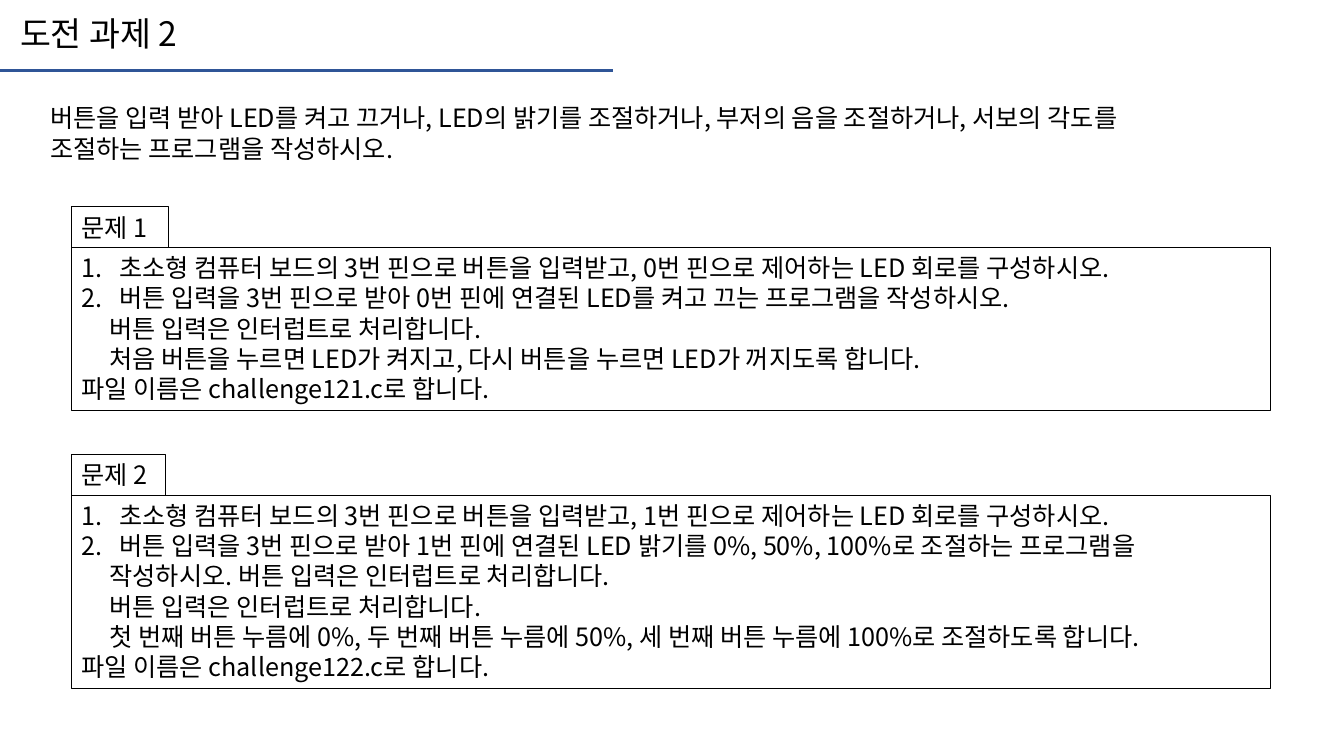
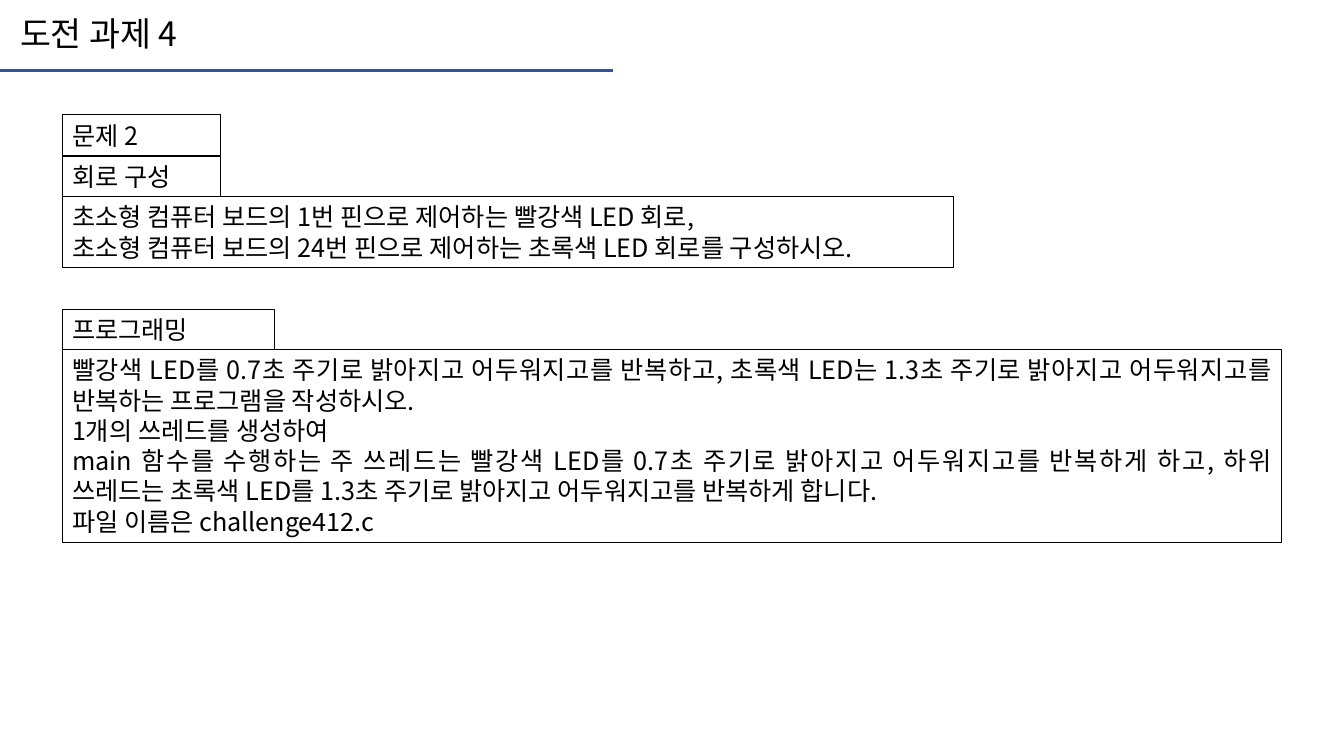
from lxml import etree
from pptx import Presentation
from pptx.dml.color import RGBColor
from pptx.enum.shapes import MSO_CONNECTOR, MSO_SHAPE
from pptx.enum.text import MSO_ANCHOR, MSO_AUTO_SIZE, PP_ALIGN
from pptx.oxml.ns import qn
from pptx.util import Pt


def color(value):
    return RGBColor.from_string(value)


class Worksheet:
    FONT = "Noto Sans CJK KR"
    INK = "000000"
    RULE = "2F5597"
    TITLE_SIZE = 24
    BODY_SIZE = 18
    LINE_HEIGHT = 21.8
    PADDING = 7.2
    NUMBER_INDENT = 27
    DETAIL_INDENT = 20

    def __init__(self):
        self.deck = Presentation()
        self.deck.slide_width = Pt(960)
        self.deck.slide_height = Pt(540)
        self.page = None

    def height(self, lines):
        return self.PADDING + lines * self.LINE_HEIGHT

    def add_page(self, title):
        self.page = self.deck.slides.add_slide(self.deck.slide_layouts[6])
        rule = self.page.shapes.add_connector(
            MSO_CONNECTOR.STRAIGHT, Pt(0), Pt(50.4), Pt(438), Pt(50.4))
        rule.line.color.rgb = color(self.RULE)
        rule.line.width = Pt(2)
        etree.SubElement(rule._element.spPr, qn("a:effectLst"))
        self.add_text(7.2, 6, 142.6, 36, [title], size=self.TITLE_SIZE, wrap=False)

    def add_text(self, left, top, width, height, lines, size=BODY_SIZE, wrap=True):
        box = self.page.shapes.add_textbox(Pt(left), Pt(top), Pt(width), Pt(height))
        self.fill_text(box, lines, size, wrap, PP_ALIGN.LEFT)

    def add_frame(self, left, top, width, lines, rows=1, wrap=True, align=PP_ALIGN.LEFT):
        frame = self.page.shapes.add_shape(
            MSO_SHAPE.RECTANGLE, Pt(left), Pt(top), Pt(width), Pt(self.height(rows)))
        frame.shadow.inherit = False
        frame.fill.background()
        frame.line.color.rgb = color(self.INK)
        frame.line.width = Pt(0.75)
        self.fill_text(frame, lines, self.BODY_SIZE, wrap, align)

    def add_label(self, left, top, width, text):
        self.add_frame(left, top, width, [text], wrap=False)
        return top + self.height(1)

    def add_problem(self, left, top, label, label_width, width, lines, rows,
                    align=PP_ALIGN.LEFT):
        panel_top = self.add_label(left, top, label_width, label)
        self.add_frame(left, panel_top, width, lines, rows, align=align)

    def fill_text(self, box, lines, size, wrap, align):
        frame = box.text_frame
        frame.word_wrap = wrap
        frame.auto_size = MSO_AUTO_SIZE.SHAPE_TO_FIT_TEXT
        frame.vertical_anchor = MSO_ANCHOR.TOP
        for index, line in enumerate(lines):
            para = frame.add_paragraph() if index else frame.paragraphs[0]
            para.alignment = align
            kind, text = line if isinstance(line, tuple) else ("plain", line)
            self.indent(para, kind)
            span = para.add_run()
            span.text = text
            span.font.size = Pt(size)
            span.font.name = self.FONT
            span.font.color.rgb = color(self.INK)
            east_asian = etree.SubElement(span.font._element, qn("a:ea"))
            east_asian.set("typeface", self.FONT)

    def indent(self, para, kind):
        properties = para._p.get_or_add_pPr()
        if kind == "number":
            properties.set("marL", str(Pt(self.NUMBER_INDENT)))
            properties.set("indent", str(-Pt(self.NUMBER_INDENT)))
            font = etree.SubElement(properties, qn("a:buFont"))
            font.set("typeface", self.FONT)
            number = etree.SubElement(properties, qn("a:buAutoNum"))
            number.set("type", "arabicPeriod")
        elif kind == "detail":
            properties.set("marL", str(Pt(self.DETAIL_INDENT)))
            properties.set("indent", "0")


def build_challenge_two(sheet):
    sheet.add_page("도전 과제 2")
    sheet.add_text(28.8, 69.8, 856.8, sheet.height(2), [
        "버튼을 입력 받아 LED를 켜고 끄거나, LED의 밝기를 조절하거나, 부저의 음을 조절하거나, 서보의 각도를",
        "조절하는 프로그램을 작성하시오.",
    ])
    left, width = 51.1, 856.1
    sheet.add_problem(left, 147.8, "문제 1", 69.1, width, [
        ("number", "초소형 컴퓨터 보드의 3번 핀으로 버튼을 입력받고, 0번 핀으로 제어하는 LED 회로를 구성하시오."),
        ("number", "버튼 입력을 3번 핀으로 받아 0번 핀에 연결된 LED를 켜고 끄는 프로그램을 작성하시오."),
        ("detail", "버튼 입력은 인터럽트로 처리합니다."),
        ("detail", "처음 버튼을 누르면 LED가 켜지고, 다시 버튼을 누르면 LED가 꺼지도록 합니다."),
        "파일 이름은 challenge121.c로 합니다.",
    ], rows=5)
    sheet.add_problem(left, 324.7, "문제 2", 67, width, [
        ("number", "초소형 컴퓨터 보드의 3번 핀으로 버튼을 입력받고, 1번 핀으로 제어하는 LED 회로를 구성하시오."),
        ("number", "버튼 입력을 3번 핀으로 받아 1번 핀에 연결된 LED 밝기를 0%, 50%, 100%로 조절하는 프로그램을"),
        ("detail", "작성하시오. 버튼 입력은 인터럽트로 처리합니다."),
        ("detail", "버튼 입력은 인터럽트로 처리합니다."),
        ("detail", "첫 번째 버튼 누름에 0%, 두 번째 버튼 누름에 50%, 세 번째 버튼 누름에 100%로 조절하도록 합니다."),
        "파일 이름은 challenge122.c로 합니다.",
    ], rows=6, align=PP_ALIGN.JUSTIFY)


def build_challenge_four(sheet):
    sheet.add_page("도전 과제 4")
    left, label_width = 44.4, 113
    sheet.add_label(left, 82.1, label_width, "문제 2")
    sheet.add_problem(left, 111.6, "회로 구성", label_width, 636.5, [
        "초소형 컴퓨터 보드의 1번 핀으로 제어하는 빨강색 LED 회로,",
        "초소형 컴퓨터 보드의 24번 핀으로 제어하는 초록색 LED 회로를 구성하시오.",
    ], rows=2)
    sheet.add_problem(left, 220.9, "프로그래밍", 152, 871.2, [
        "빨강색 LED를 0.7초 주기로 밝아지고 어두워지고를 반복하고, 초록색 LED는 1.3초 주기로 밝아지고 어두워지고를 반복하는 프로그램을 작성하시오.",
        "1개의 쓰레드를 생성하여",
        "main 함수를 수행하는 주 쓰레드는 빨강색 LED를 0.7초 주기로 밝아지고 어두워지고를 반복하게 하고, 하위 쓰레드는 초록색 LED를 1.3초 주기로 밝아지고 어두워지고를 반복하게 합니다.",
        "파일 이름은 challenge412.c",
    ], rows=6, align=PP_ALIGN.JUSTIFY)


def main():
    sheet = Worksheet()
    build_challenge_two(sheet)
    build_challenge_four(sheet)
    sheet.deck.save("out.pptx")


if __name__ == "__main__":
    main()
